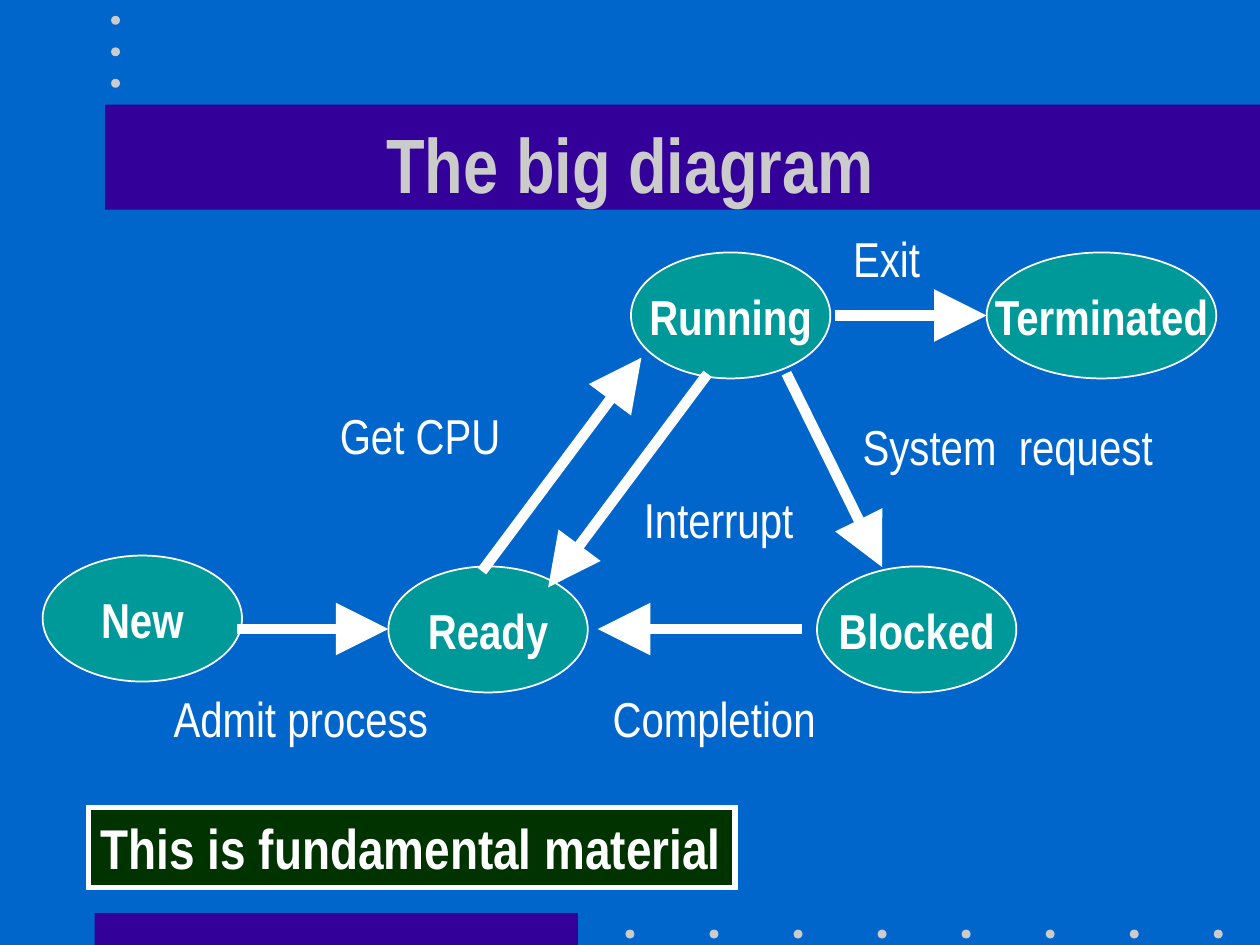
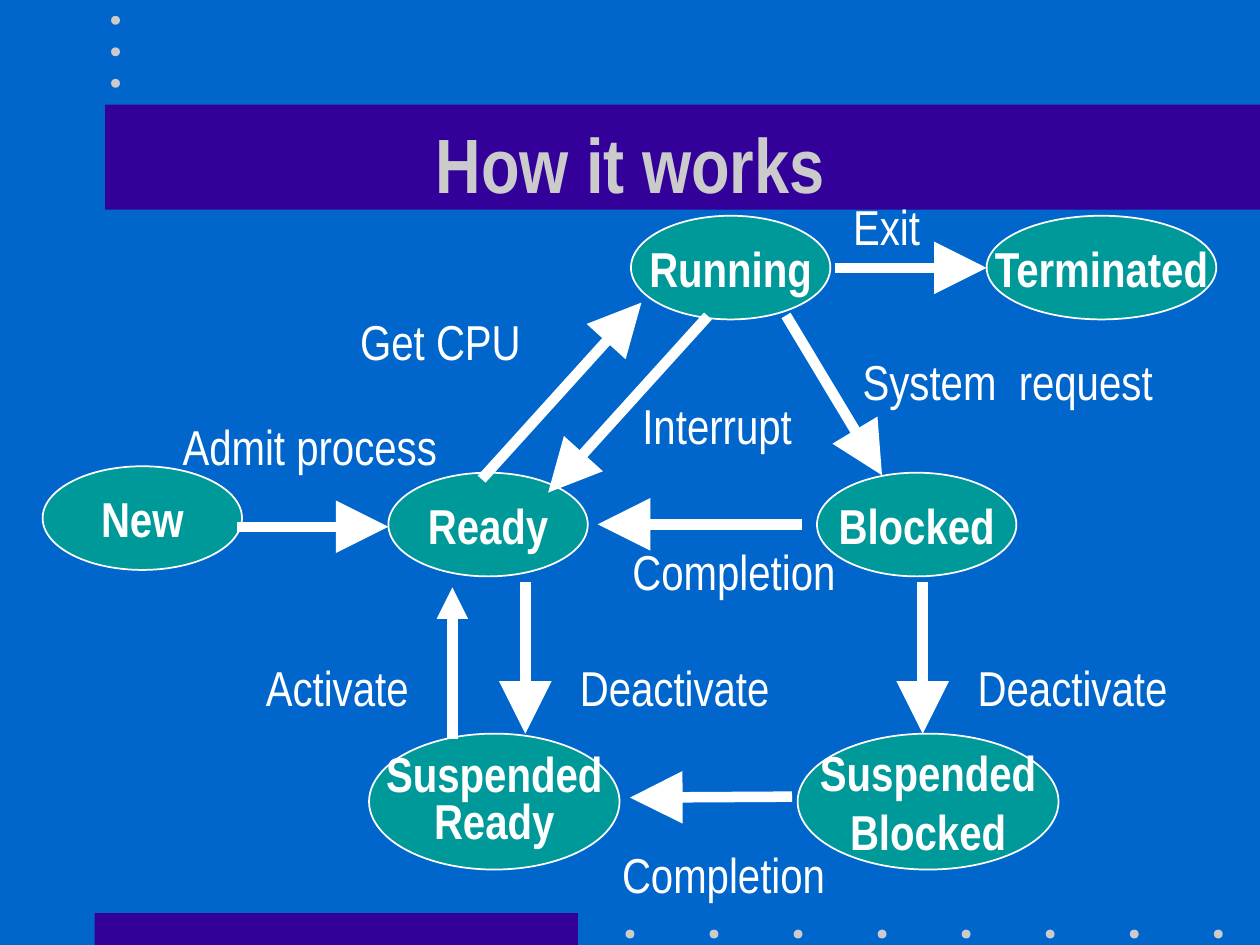
from dataclasses import dataclass

from lxml.etree import SubElement
from pptx import Presentation
from pptx.dml.color import RGBColor as Rgb
from pptx.enum.shapes import MSO_CONNECTOR as Link
from pptx.enum.shapes import MSO_SHAPE as Form
from pptx.enum.text import MSO_ANCHOR as Anchor
from pptx.enum.text import MSO_AUTO_SIZE as Fit
from pptx.enum.text import PP_ALIGN as Align
from pptx.oxml.ns import qn
from pptx.util import Cm, Pt


@dataclass(frozen=True)
class Theme:
    font: str = "Arial Narrow"
    back: str = "0066CC"
    band: str = "330099"
    pale: str = "CBCBCB"
    teal: str = "009999"
    dark: str = "003300"
    white: str = "FFFFFF"
    title: int = 44
    note: int = 32
    body: int = 28
    thin: int = 1
    frame: int = 3
    arrow: int = 6


LOOK = Theme()

# All lengths are in centimetres.
# Left and width of each state
STATES = {
    "Running": (12.72, 4.02),
    "Terminated": (19.89, 4.63),
    "New": (0.86, 4.02),
    "Ready": (7.83, 4.02),
    "Blocked": (16.47, 4.02),
    "Suspended\nReady": (7.44, 5.05),
    "Suspended\nBlocked": (16.08, 5.26),
}

# Width of each label
WIDTHS = {
    "Admit process": 5.7,
    "Completion": 4.65,
    "Interrupt": 3.6,
    "Get CPU": 3.8,
    "Exit": 1.9,
    "System  request": 6.4,
    "Activate": 3.45,
    "Deactivate": 4.4,
}

# Start and end x of the six moves that both slides show
MOVES = [
    (4.88, 7.83),    # New to Ready
    (16.07, 12.05),  # Blocked to Ready
    (16.94, 19.89),  # Running to Terminated
    (9.78, 12.93),   # Ready to Running
    (14.2, 11.05),   # Running to Ready
    (15.9, 17.78),   # Running to Blocked
]


def box(x, y, wide, high):
    return Cm(x), Cm(y), Cm(wide), Cm(high)


def write(frame, text, size, color=LOOK.white, bold=False,
          align=Align.LEFT, anchor=Anchor.TOP):
    """Put one formatted paragraph in a text frame."""
    frame.vertical_anchor = anchor
    par = frame.paragraphs[0]
    par.text = text
    par.alignment = align
    font = par.font
    font.name, font.size, font.bold = LOOK.font, Pt(size), bold
    font.color.rgb = Rgb.from_string(color)
    return par


def add_form(slide, form, place, fill, edge=0):
    """Add a flat shape; edge is the width of its white outline."""
    shape = slide.shapes.add_shape(form, *box(*place))
    shape.shadow.inherit = False
    shape.fill.solid()
    shape.fill.fore_color.rgb = Rgb.from_string(fill)
    if edge:
        shape.line.color.rgb = Rgb.from_string(LOOK.white)
        shape.line.width = Pt(edge)
        SubElement(shape.element.spPr.find(qn("a:ln")), qn("a:miter"), lim="800000")
    else:
        shape.line.fill.background()
    return shape


def add_state(slide, name, y, high, space=None):
    x, wide = STATES[name]
    shape = add_form(slide, Form.OVAL, (x, y, wide, high), LOOK.teal, LOOK.thin)
    shape.text_frame.word_wrap = False
    par = write(shape.text_frame, name, LOOK.body, bold=True,
                align=Align.CENTER, anchor=Anchor.MIDDLE)
    if space:
        par.line_spacing = space


def add_arrow(slide, x1, y1, x2, y2, head="lg"):
    line = slide.shapes.add_connector(Link.STRAIGHT, Cm(x1), Cm(y1), Cm(x2), Cm(y2))
    line.line.color.rgb = Rgb.from_string(LOOK.white)
    line.line.width = Pt(LOOK.arrow)
    props = line.element.spPr
    stroke = props.find(qn("a:ln"))
    stroke.set("cap", "sq")
    SubElement(stroke, qn("a:tailEnd"), type="triangle", w=head, len=head)
    SubElement(props, qn("a:effectLst"))


def add_label(slide, text, x, y):
    label = slide.shapes.add_textbox(*box(x, y, WIDTHS[text], 1.45))
    label.text_frame.word_wrap = False
    label.text_frame.auto_size = Fit.SHAPE_TO_FIT_TEXT
    write(label.text_frame, text, LOOK.body)


def add_note(slide, text):
    note = add_form(slide, Form.RECTANGLE, (1.78, 16.28, 13.04, 1.62),
                    LOOK.dark, LOOK.frame)
    note.text_frame.word_wrap = False
    note.text_frame.auto_size = Fit.SHAPE_TO_FIT_TEXT
    write(note.text_frame, text, LOOK.note, bold=True)


def add_slide(deck, text):
    """Start a slide with its bands, dots and title."""
    slide = deck.slides.add_slide(deck.slide_layouts[5])
    for place in ((1.91, 18.41, 9.74, 0.64), (2.12, 2.11, 23.28, 2.12)):
        add_form(slide, Form.RECTANGLE, place, LOOK.band)
    dots = [(12.61 + 11.86 * i / 7, 18.74) for i in range(8)]
    dots += [(2.24, 0.32 + 1.27 * i / 2) for i in range(3)]
    for x, y in dots:
        add_form(slide, Form.OVAL, (x, y, 0.18, 0.18), LOOK.pale)

    # The title lies over the band
    title = slide.shapes.title
    title.element.getparent().append(title.element)
    title.left, title.top, title.width, title.height = box(1.91, 1.69, 21.6, 3.18)
    title.text_frame.auto_size = Fit.NONE
    write(title.text_frame, text, LOOK.title, LOOK.pale, True,
          Align.CENTER, Anchor.MIDDLE)
    return slide


def add_graph(slide, high, tops, rows, labels):
    """Draw the five main states, their six moves and the labels."""
    for name, y in tops.items():
        add_state(slide, name, y, high)
    for (x1, x2), (y1, y2) in zip(MOVES, rows):
        add_arrow(slide, x1, y1, x2, y2)
    for text, x, y in labels:
        add_label(slide, text, x, y)


def add_big(deck):
    slide = add_slide(deck, "The big diagram")
    add_graph(
        slide, 2.54,
        {"Running": 5.09, "Terminated": 5.09, "New": 11.2,
         "Ready": 11.42, "Blocked": 11.42},
        [(12.68, 12.68), (12.68, 12.68), (6.36, 6.36),
         (11.43, 7.21), (7.62, 11.84), (7.62, 11.43)],
        [("Admit process", 3.25, 13.76), ("Completion", 12.1, 13.76),
         ("Interrupt", 12.73, 9.74), ("Get CPU", 6.6, 8.05),
         ("Exit", 16.95, 4.48), ("System  request", 17.14, 8.27)])
    add_note(slide, "This is fundamental material")


def add_works(deck):
    slide = add_slide(deck, "How it works")
    add_graph(
        slide, 2.09,
        {"Running": 4.35, "Terminated": 4.35, "New": 9.4,
         "Ready": 9.53, "Blocked": 9.53},
        [(10.62, 10.62), (10.57, 10.57), (5.4, 5.4),
         (9.58, 6.1), (6.45, 9.93), (6.45, 9.58)],
        [("Admit process", 3.43, 8.27), ("Completion", 12.5, 10.8),
         ("Interrupt", 12.7, 7.85), ("Get CPU", 7.01, 6.15),
         ("Exit", 16.95, 3.84), ("System  request", 17.14, 6.97),
         ("Activate", 5.11, 13.14), ("Deactivate", 11.44, 13.14),
         ("Deactivate", 19.46, 13.14), ("Completion", 12.29, 16.89)])

    # Suspended states and the moves to and from them
    low, high = 14.79, 11.84
    add_state(slide, "Suspended\nReady", low, 2.74, 0.8)
    add_state(slide, "Suspended\nBlocked", low, 2.74)
    add_arrow(slide, 15.86, 16.06, 12.7, 16.08)
    for x in (10.59, 18.6):
        add_arrow(slide, x, high, x, low)
    add_arrow(slide, 9.12, low, 9.12, high, "med")


def main():
    deck = Presentation()
    deck.slide_width, deck.slide_height = Cm(25.4), Cm(19.05)
    fill = deck.slide_master.background.fill
    fill.solid()
    fill.fore_color.rgb = Rgb.from_string(LOOK.back)
    add_big(deck)
    add_works(deck)
    deck.save("out.pptx")


if __name__ == "__main__":
    main()
